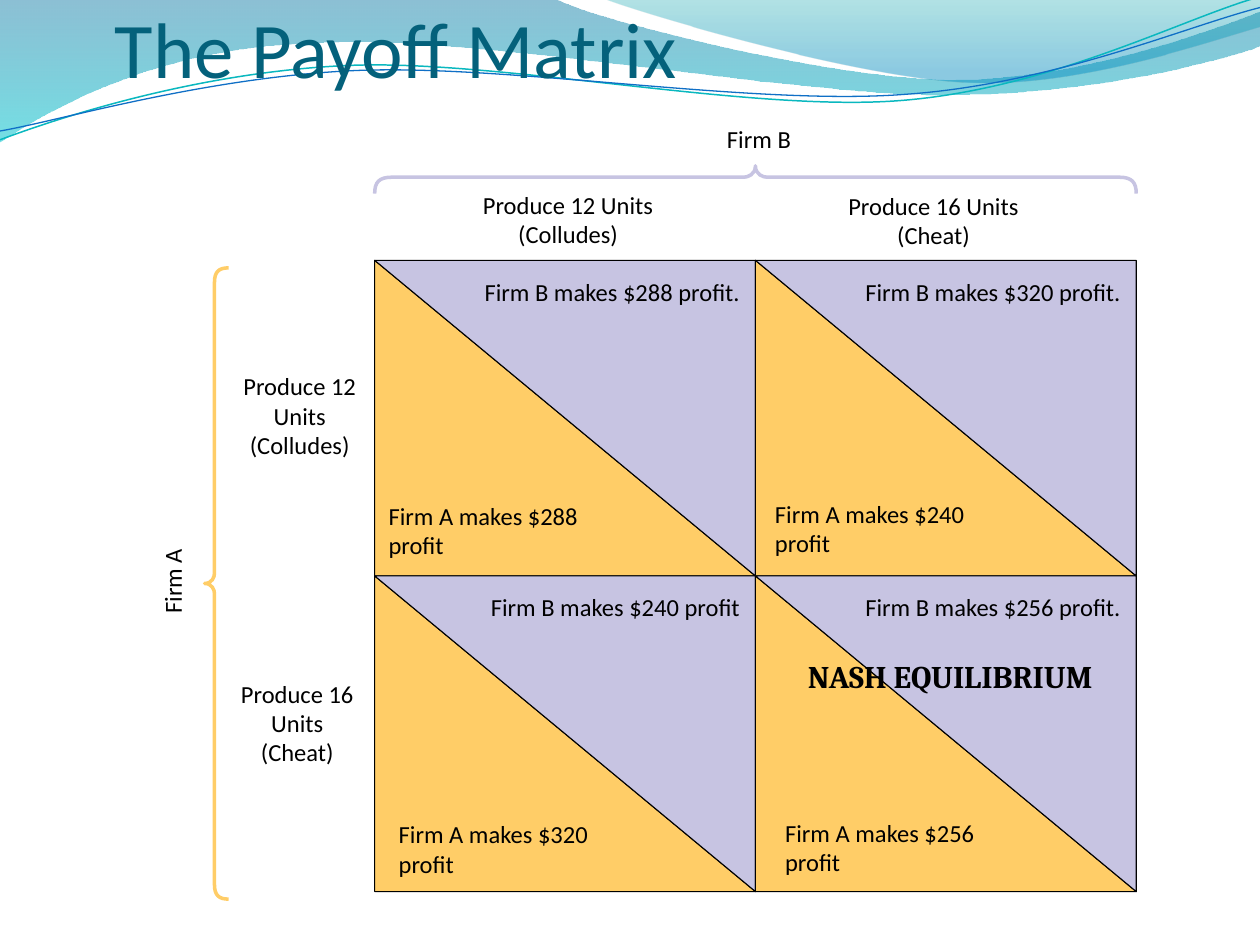
from pptx import Presentation
from pptx.dml.color import RGBColor as RGB
from pptx.enum.text import MSO_ANCHOR as ANCHOR, MSO_AUTO_SIZE as FIT, PP_ALIGN as ALIGN
from pptx.oxml.ns import qn
from pptx.util import Inches, Pt
from lxml import etree

BLACK = RGB(0, 0, 0)
TEAL = RGB(0x04, 0x61, 0x7B)
GOLD = RGB(0xFF, 0xCD, 0x67)
LILAC = RGB(0xC7, 0xC4, 0xE2)
DEEP, AQUA = RGB(0x00, 0x74, 0xA1), RGB(0x00, 0xC6, 0xCF)
SEA, SKY = RGB(0x00, 0xA1, 0xA9), RGB(0x00, 0x8B, 0xBF)
WAVE_TEAL, WAVE_BLUE = RGB(0x0A, 0xB8, 0xBF), RGB(0x0F, 0x6F, 0xC6)

prs = Presentation()
prs.slide_width, prs.slide_height = Inches(10), Inches(7.5)
UNIT = prs.slide_width / 100
slide = prs.slides.add_slide(prs.slide_layouts[6])


def u(value):
    """Turn grid columns or rows (100 by 75 on the slide) into EMU."""
    return round(value * UNIT)


def bend(sp, pattern):
    """Turn each run of three lines marked C into one cubic curve."""
    lines = iter(list(sp.element.spPr.iter(qn("a:lnTo"))))
    for mark in pattern:
        first = next(lines)
        if mark == "C":
            first.tag = qn("a:cubicBezTo")
            for extra in (next(lines), next(lines)):
                first.append(extra[0])
                extra.getparent().remove(extra)


def freeform(points, pattern="", fill=None, line=None, width=0.63, close=True):
    """Draw an outline of lines (L) and curves (C) with a plain, graded or empty fill."""
    pts = [(u(x), u(y)) for x, y in points]
    builder = slide.shapes.build_freeform(*pts[0], scale=1.0)
    builder.add_line_segments(pts[1:], close=close)
    sp = builder.convert_to_shape()
    bend(sp, pattern)
    sp.shadow.inherit = False
    if fill is None:
        sp.fill.background()
    elif isinstance(fill, RGB):
        sp.fill.solid()
        sp.fill.fore_color.rgb = fill
    else:
        sp.fill.gradient()
        sp.fill.gradient_angle = 270
        for stop, (position, color, _) in zip(sp.fill.gradient_stops, fill):
            stop.position, stop.color.rgb = position, color
        for clr, (_, _, alpha) in zip(sp.element.spPr.iter(qn("a:srgbClr")), fill):
            etree.SubElement(clr, qn("a:alpha")).set("val", str(alpha * 1000))
    if line is None:
        sp.line.fill.background()
    else:
        sp.line.color.rgb = line
        sp.line.width = Pt(width)


def label(box, *lines, align=ALIGN.LEFT, wrap=True, anchor=ANCHOR.TOP,
          insets=(0, 0), rotation=0, fit=FIT.SHAPE_TO_FIT_TEXT, **font):
    """Place text, one paragraph per line, in a box."""
    sp = slide.shapes.add_textbox(*map(u, box))
    sp.rotation = rotation
    tf = sp.text_frame
    frame = {"word_wrap": wrap, "vertical_anchor": anchor, "auto_size": fit,
             "margin_left": u(insets[0]), "margin_right": u(insets[0]),
             "margin_top": u(insets[1]), "margin_bottom": u(insets[1])}
    for name, value in frame.items():
        setattr(tf, name, value)
    style = {"size": Pt(14), "name": "Calibri"} | font
    color = style.pop("color", BLACK)
    for i, text in enumerate(lines):
        p = tf.add_paragraph() if i else tf.paragraphs[0]
        p.alignment = align
        r = p.add_run()
        r.text = text
        r.font.color.rgb = color
        for name, value in style.items():
            setattr(r.font, name, value)


def header(x, y, w):
    """Draw the waves across a band and the title over them."""
    def wave(pattern, points, **look):
        freeform([(x + px * w / 100, y + py * w / 100) for px, py in points],
                 pattern, **look)

    wave("LCCLCCCL", (
        (0, 0), (44, -.1), (47.6, 1.7), (66.4, 6.3), (75.8, 6.3),
        (85.3, 6.3), (95.8, 2.6), (100, .9), (100.1, 3.6),
        (98.3, 4.4), (87, 7.6), (74.6, 7.5), (62.2, 7.5), (38.2, 2.8), (25.7, 3.4),
        (12.9, 3.6), (4.6, 8.3), (-.1, 11.3), (0, 0)),
        fill=((0, DEEP, 45), (1, AQUA, 55)))
    wave("CCLL", (
        (47.9, -.1), (50.9, 1.1), (68.2, 6.2), (76.9, 6.5),
        (85.6, 6.9), (96.1, 3.2), (100, 2.1), (100, 0), (47.9, -.1)),
        fill=((0, SEA, 30), (.8, SKY, 45)))
    wave("CCC", (
        (0, 11.1), (4.8, 9.3), (15.8, 5.7), (27.7, 5.2), (39.5, 4.7), (59.3, 8.9),
        (71.3, 8), (83.3, 7.1), (93.8, 1.5), (99.8, -.2)),
        line=WAVE_TEAL, width=.85, close=False)
    wave("CCC", (
        (0, 10.4), (4.7, 9.6), (16.4, 6.1), (28.3, 5.6), (40.3, 5.1), (59.7, 8.4),
        (71.7, 7.5), (83.6, 6.7), (94.1, 2.1), (100, .6)),
        line=WAVE_BLUE, width=.75, close=False)
    label((x + .091 * w, y + .008 * w, .909 * w, .067 * w), "The Payoff Matrix",
          anchor=ANCHOR.BOTTOM, fit=FIT.NONE, size=Pt(45), color=TEAL)


def brace(x, y, length, depth, color, vertical=False):
    """Draw a brace opening away from its tip, along a row or a column."""
    bar, corner, tip, mid = .59 * depth, .62 * depth, .42 * depth, length / 2
    half = [(0, 0), (0, .4 * depth), (.15 * depth, bar), (corner, bar), (mid - tip, bar),
            (mid - .28 * depth, bar), (mid, .68 * depth), (mid, depth)]
    points = half + [(length - t, d) for t, d in half[-2::-1]]
    freeform([(x - d, y + t) if vertical else (x + t, y - d) for t, d in points],
             "CLCCLC", line=color, width=2, close=False)


def payoff_cell(x, y, w, h, firm_a, firm_b, offset):
    """Split a cell along its diagonal and write both profits."""
    start, end = (x, y), (x + w, y + h)
    freeform([end, (x, y + h), start, end], fill=GOLD, line=BLACK)
    freeform([start, (x + w, y), end, start], fill=LILAC, line=BLACK)
    label((x + 5.3, y + 1.3, 23.7, 2.4), f"Firm B makes {firm_b}", align=ALIGN.RIGHT)
    label((x + offset[0], y + offset[1], 17.4, 4.7), f"Firm A makes {firm_a} profit")


def payoff_matrix(x, y, w, h):
    """Place the four cells, the strategy names and the braces."""
    col, row = w / 2, h / 2
    cells = (("$288", "$288 profit.", (1.1, 19.1)), ("$240", "$320 profit.", (1.55, 18.95)),
             ("$320", "$240 profit", (1.9, 19.3)), ("$256", "$256 profit.", (2.35, 19.2)))
    for i, cell in enumerate(cells):
        payoff_cell(x + i % 2 * col, y + i // 2 * row, col, row, *cell)
    strategies = (("Produce 12 Units", "(Colludes)"), ("Produce 16 Units", "(Cheat)"))
    tops, sides = ((6.8, -5.6), (35.8, -5.5)), ((-11.4, 8.8), (-11.6, 33.2))
    for spots, size in ((tops, (17.1, 4.7)), (sides, (10.9, 7.1))):
        for (dx, dy), lines in zip(spots, strategies):
            label((x + dx, y + dy, *size), *lines, align=ALIGN.CENTER)
    brace(x, y - 5.3, w, 2.2, LILAC)
    brace(x - 11.6, y + .6, h, 1.9, GOLD, vertical=True)
    label((x + 27.6, y - 10.8, 5.8, 2.4), "Firm B", align=ALIGN.CENTER, wrap=False)
    label((x - 18.9, y + 24, 5.7, 2.4), "Firm A", wrap=False, rotation=270)
    label((x + col + 2.55, y + row + 5.95, 25.8, 7.1), "NASH EQUILIBRIUM",
          align=ALIGN.CENTER, insets=(1, .5), size=Pt(18), name="Cambria", bold=True)


header(0, 0, 100)
payoff_matrix(29.74, 20.66, 60.44, 50.1)
prs.save("out.pptx")
